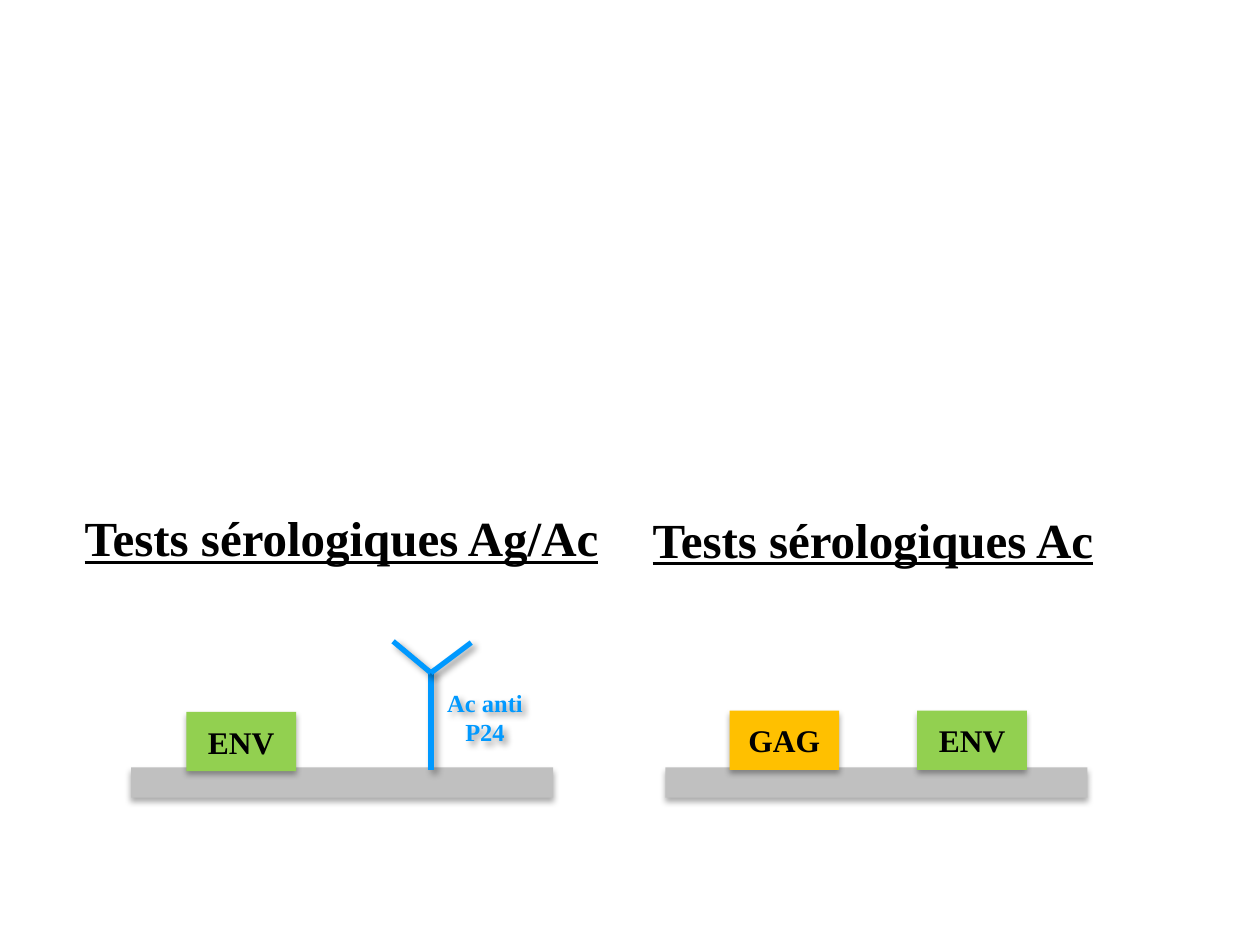
from dataclasses import dataclass

from lxml import etree
from pptx import Presentation, util as u
from pptx.dml.color import RGBColor
from pptx.enum import shapes, text
from pptx.oxml.ns import qn

HUES = {"ink": "000000", "bar": "C0C0C0", "gag": "FFC000",
        "env": "92D050", "blue": "0099FF"}
FONT = "Times New Roman"

# Slide grid: 100 columns by 75 rows
COLS, ROWS = 100, 75
WIDE, HIGH = u.Inches(10), u.Inches(7.5)


@dataclass(frozen=True)
class Box:
    col: float
    row: float
    wide: float
    high: float


@dataclass(frozen=True)
class Block:
    box: Box
    hue: str
    label: str = ""


@dataclass(frozen=True)
class Shade:
    alpha: int  # percent
    blur: float  # points
    dist: float  # points
    angle: int  # degrees


@dataclass(frozen=True)
class Head:
    idx: int
    box: Box
    label: str
    align: text.PP_ALIGN


SOFT = Shade(32, 3.5, 2.2, 90)
SLANT = Shade(40, 4, 3, 45)


def across(cols: float) -> int:
    return round(WIDE * cols / COLS)


def down(rows: float) -> int:
    return round(HIGH * rows / ROWS)


def place(box: Box) -> tuple:
    return across(box.col), down(box.row), across(box.wide), down(box.high)


def tint(name: str) -> RGBColor:
    return RGBColor.from_string(HUES[name])


def cast(item, shade: Shade) -> None:
    """Give a shape or connector an outer shadow."""
    fx = etree.SubElement(item._element.spPr, qn("a:effectLst"))
    outer = etree.SubElement(
        fx, qn("a:outerShdw"), blurRad=str(u.Pt(shade.blur)),
        dist=str(u.Pt(shade.dist)), dir=str(shade.angle * 60000),
        algn="ctr", rotWithShape="0")
    hue = etree.SubElement(outer, qn("a:srgbClr"), val=HUES["ink"])
    etree.SubElement(hue, qn("a:alpha"), val=str(shade.alpha * 1000))


def write(frame, label: str, size: float, hue: str = "ink",
          align=text.PP_ALIGN.CENTER, gap: float = 0):
    """Set one bold paragraph; gap is a share of the text size."""
    frame.text = label
    para = frame.paragraphs[0]
    para.alignment = align
    para.space_before = u.Pt(size * gap)
    font = para.runs[0].font
    font.name, font.size, font.bold = FONT, u.Pt(size), True
    font.color.rgb = tint(hue)
    return para


def add_block(slide, block: Block) -> None:
    item = slide.shapes.add_shape(shapes.MSO_SHAPE.RECTANGLE, *place(block.box))
    item.fill.solid()
    item.fill.fore_color.rgb = tint(block.hue)
    item.line.fill.background()
    cast(item, SOFT)
    if block.label:
        frame = item.text_frame
        frame.word_wrap = False
        frame.vertical_anchor = text.MSO_ANCHOR.MIDDLE
        write(frame, block.label, 18)


def add_head(slide, head: Head) -> None:
    item = slide.placeholders[head.idx]
    item.left, item.top, item.width, item.height = place(head.box)
    frame = item.text_frame
    frame.vertical_anchor = text.MSO_ANCHOR.TOP
    frame.auto_size = text.MSO_AUTO_SIZE.NONE
    para = write(frame, head.label, 28, align=head.align, gap=0.2)
    para.runs[0].font.underline = True
    props = para._p.get_or_add_pPr()
    props.set("marL", str(across(3.8)))
    props.set("indent", str(-across(3.8)))


def add_arm(slide, start: tuple, end: tuple) -> None:
    item = slide.shapes.add_connector(
        shapes.MSO_CONNECTOR.STRAIGHT, across(start[0]), down(start[1]),
        across(end[0]), down(end[1]))
    item.line.color.rgb = tint("blue")
    item.line.width = u.Pt(3)
    cast(item, SLANT)


def add_note(slide, box: Box, label: str) -> None:
    item = slide.shapes.add_textbox(*place(box))
    frame = item.text_frame
    frame.word_wrap = True
    frame.auto_size = text.MSO_AUTO_SIZE.SHAPE_TO_FIT_TEXT
    write(frame, label, 14, "blue", gap=0.5)
    cast(item, SLANT)


def main() -> None:
    deck = Presentation()
    deck.slide_width, deck.slide_height = WIDE, HIGH
    slide = deck.slides.add_slide(deck.slide_layouts.get_by_name("Comparison"))

    # Headings
    heads = (
        Head(1, Box(4.7, 39.8, 44.8, 6.3), "Tests sérologiques Ag/Ac",
             text.PP_ALIGN.CENTER),
        Head(3, Box(50.8, 39.9, 38.2, 7), "Tests sérologiques Ac",
             text.PP_ALIGN.LEFT),
    )
    for head in heads:
        add_head(slide, head)
    used = {head.idx for head in heads}
    for spare in list(slide.placeholders):
        if spare.placeholder_format.idx not in used:
            spare._element.getparent().remove(spare._element)

    # Supports
    for col in (10.4, 52.8):
        add_block(slide, Block(Box(col, 60.9, 33.5, 2.4), "bar"))

    # Antigens
    for col, row, label in ((57.9, 56.4, "GAG"), (72.8, 56.4, "ENV"),
                            (14.8, 56.5, "ENV")):
        add_block(slide, Block(Box(col, row, 8.7, 4.7), label.lower(), label))

    # Antibody: stem and two arms
    fork = (34.2, 53.4)
    for end in ((34.2, 61.1), (31.2, 50.9), (37.4, 51)):
        add_arm(slide, fork, end)
    add_note(slide, Box(33, 54.1, 11, 5.7), "Ac anti P24")

    deck.save("out.pptx")


if __name__ == "__main__":
    main()
